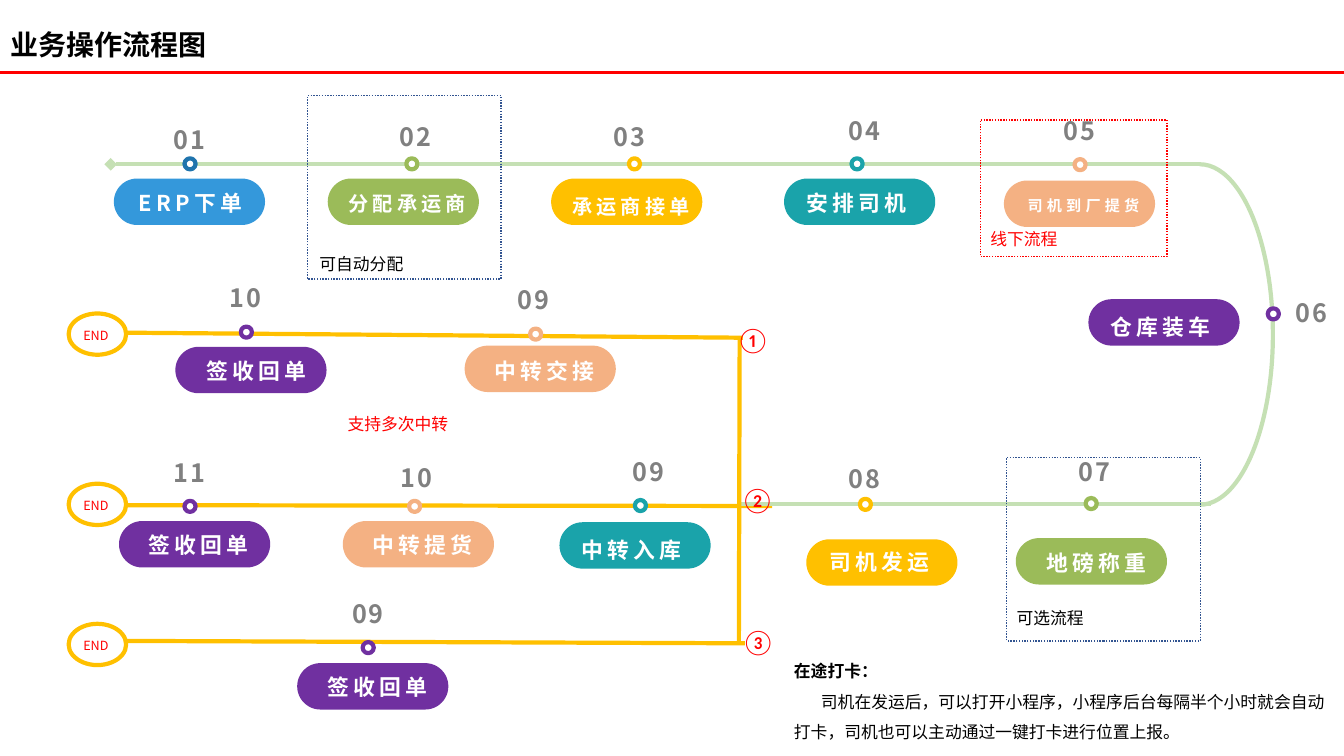
from dataclasses import dataclass

from lxml import etree
from pptx import Presentation
from pptx import util as u
from pptx.dml.color import RGBColor
from pptx.enum import dml, shapes, text
from pptx.oxml import ns

FONT = "Noto Sans CJK SC"
COLORS = {
    "white": "FFFFFF", "black": "000000", "red": "FF0000", "grey": "808080",
    "blue": "3498DB", "deep_blue": "1F74AD", "navy": "325491",
    "green": "9BBB59", "pale_green": "C5E0B4", "yellow": "FFC000",
    "teal": "1AA3AA", "peach": "F4B183", "purple": "7030A0",
}
Point = tuple[float, float]
Box = tuple[float, float, float, float]


@dataclass
class Style:
    size: float
    color: str = "black"
    bold: bool = False
    tracking: float = 0
    font: str = FONT


@dataclass
class Step:
    number: str
    label: str
    color: str
    dot: Point
    pill: Point
    label_at: Point
    number_at: Point
    size: float = 15.6
    spacing: float = 1.1
    ring: str = ""


@dataclass
class Track:
    start: Point
    end: Point
    color: str
    width: float = 3
    diamond: bool = False


@dataclass
class Frame:
    box: Box
    color: str


@dataclass
class Remark:
    words: str
    box: Box
    style: Style
    wrap: bool = True


STEPS = [
    # Ordering and pickup
    Step("01", "ERP下单", "blue", (4.65, 3.99), (2.87, 4.5), (3, 4.55), (3.96, 3), ring="deep_blue"),
    Step("02", "分配承运商", "green", (10.24, 3.99), (8.26, 4.5), (8.46, 4.55), (9.65, 2.92), 14.4, 1.2),
    Step("03", "承运商接单", "yellow", (15.85, 3.99), (13.89, 4.5), (14.1, 4.62), (15.06, 2.92), 14.4, 1.2),
    Step("04", "安排司机", "teal", (21.46, 3.99), (19.76, 4.5), (19.79, 4.55), (20.96, 2.79)),
    Step("05", "司机到厂提货", "peach", (27.08, 4.01), (25.3, 4.55), (25.5, 4.6), (26.39, 2.79), 10.8, 1.2),
    # Loading and departure
    Step("06", "仓库装车", "purple", (31.95, 7.77), (27.43, 7.54), (27.43, 7.67), (32.23, 7.37)),
    Step("07", "地磅称重", "green", (27.36, 12.55), (25.6, 13.56), (25.83, 13.59), (26.77, 11.38), spacing=1.2),
    Step("08", "司机发运", "yellow", (21.67, 12.57), (20.32, 13.59), (20.37, 13.56), (20.96, 11.56), spacing=1.2),
    # Branch 1
    Step("09", "中转交接", "peach", (13.36, 8.28), (11.71, 8.71), (11.91, 8.79), (12.62, 7.04)),
    Step("10", "签收回单", "purple", (6.07, 8.23), (4.42, 8.74), (4.65, 8.79), (5.38, 6.99)),
    # Branch 2
    Step("09", "中转入库", "teal", (16, 12.6), (14.1, 13.16), (14.1, 13.26), (15.52, 11.38), spacing=1.2),
    Step("10", "中转提货", "peach", (10.31, 12.62), (8.64, 13.13), (8.84, 13.18), (9.68, 11.53)),
    Step("11", "签收回单", "purple", (4.65, 12.62), (3, 13.13), (3.2, 13.18), (3.96, 11.4)),
    # Branch 3
    Step("09", "签收回单", "purple", (9.14, 16.18), (7.49, 16.71), (7.7, 16.76), (8.46, 14.96)),
]
MAIN_TRACKS = [
    Track((0, 1.83), (33.87, 1.83), "red", 2.25),
    Track((3.18, 12.73), (19.46, 12.75), "yellow"),
    Track((18.67, 12.7), (30.51, 12.7), "pale_green"),
    Track((2.79, 4.14), (30.25, 4.14), "pale_green", diamond=True),
]
BRANCH_TRACKS = [
    Track((2.79, 8.38), (18.72, 8.51), "yellow"),
    Track((18.64, 8.48), (18.62, 16.23), "yellow"),
    Track((2.92, 16.15), (18.77, 16.21), "yellow"),
]
END_TOPS = [7.9, 12.19, 15.72]
FRAMES = [
    Frame((7.75, 2.41, 4.88, 4.62), "navy"),
    Frame((24.71, 3.02, 4.7, 3.45), "red"),
    Frame((25.37, 11.53, 4.88, 4.62), "navy"),
]
BRANCH_MARK = Style(18, "red", font="Calibri")
REMARKS = [
    Remark("可自动分配", (7.8, 6.27, 2.74, 0.76), Style(12)),
    Remark("线下流程", (24.71, 5.64, 2.51, 0.76), Style(12, "red")),
    Remark("可选流程", (25.37, 15.19, 2.51, 0.76), Style(12)),
    Remark("支持多次中转", (8.51, 10.29, 3.2, 0.84), Style(12, "red")),
    Remark("①", (18.31, 8.05, 1.14, 1.02), BRANCH_MARK, False),
    Remark("②", (18.42, 12.09, 1.14, 1.02), BRANCH_MARK, False),
    Remark("③", (18.44, 15.65, 1.14, 1.02), BRANCH_MARK, False),
]


def rgb(name: str) -> RGBColor:
    return RGBColor.from_string(COLORS[name])


def cm(*values: float) -> list[u.Cm]:
    return [u.Cm(value) for value in values]


def add_run(paragraph, words: str, style: Style) -> None:
    run = paragraph.add_run()
    run.text = words
    run.font.size = u.Pt(style.size)
    run.font.bold = style.bold
    run.font.color.rgb = rgb(style.color)
    run.font.name = style.font
    properties = run.font._element
    etree.SubElement(properties, ns.qn("a:ea")).set("typeface", style.font)
    if style.tracking:
        properties.set("spc", str(round(style.tracking * 100)))


def add_words(slide, words: str, box: Box, style: Style, wrap: bool = True):
    frame = slide.shapes.add_textbox(*cm(*box)).text_frame
    frame.word_wrap = wrap
    add_run(frame.paragraphs[0], words, style)
    return frame


def add_outline(slide, kind, box: Box, fill: str = "", line: str = "", width: float = 3):
    outline = slide.shapes.add_shape(kind, *cm(*box))
    outline.shadow.inherit = False
    if fill:
        outline.fill.solid()
        outline.fill.fore_color.rgb = rgb(fill)
    else:
        outline.fill.background()
    if line:
        outline.line.color.rgb = rgb(line)
        outline.line.width = u.Pt(width)
    else:
        outline.line.fill.background()
    return outline


def add_track(slide, track: Track) -> None:
    line = slide.shapes.add_connector(shapes.MSO_CONNECTOR.STRAIGHT, *cm(*track.start, *track.end))
    line.line.color.rgb = rgb(track.color)
    line.line.width = u.Pt(track.width)
    if track.diamond:
        etree.SubElement(line.line._get_or_add_ln(), ns.qn("a:headEnd")).set("type", "diamond")
    etree.SubElement(line._element.spPr, ns.qn("a:effectLst"))


def add_step(slide, step: Step) -> None:
    add_outline(slide, shapes.MSO_SHAPE.OVAL, (*step.dot, 0.28, 0.28), "white", step.ring or step.color)
    pill = add_outline(slide, shapes.MSO_SHAPE.ROUNDED_RECTANGLE, (*step.pill, 3.81, 1.17), step.color)
    pill.adjustments[0] = 0.5
    label = add_words(slide, step.label, (*step.label_at, 3.61, 1.04), Style(step.size, "white", True, 3))
    label.vertical_anchor = text.MSO_ANCHOR.MIDDLE
    label.paragraphs[0].line_spacing = step.spacing
    number = add_words(slide, step.number, (*step.number_at, 1.63, 1.02), Style(18, "grey", True, 1.5))
    for frame in (label, number):
        frame.paragraphs[0].alignment = text.PP_ALIGN.CENTER


def add_title(slide, words: str) -> None:
    title = slide.shapes.title
    title.left, title.top, title.width, title.height = cm(0, 0.56, 16.94, 1.12)
    frame = title.text_frame
    frame.auto_size = text.MSO_AUTO_SIZE.NONE
    frame.vertical_anchor = text.MSO_ANCHOR.TOP
    frame.paragraphs[0].alignment = text.PP_ALIGN.LEFT
    add_run(frame.paragraphs[0], words, Style(20, bold=True))


def main() -> None:
    deck = Presentation()
    deck.slide_width, deck.slide_height = cm(33.87, 19.05)
    slide = deck.slides.add_slide(deck.slide_layouts[5])
    add_title(slide, "业务操作流程图")

    # Main route with its bend
    bend = add_outline(slide, shapes.MSO_SHAPE.ARC, (28.4, 4.14, 3.68, 8.58), "white", "pale_green")
    bend.adjustments[0], bend.adjustments[1] = 162, 53.99
    for track in MAIN_TRACKS + BRANCH_TRACKS:
        add_track(slide, track)

    # Ends of the branches
    for top in END_TOPS:
        add_outline(slide, shapes.MSO_SHAPE.OVAL, (1.73, top, 1.45, 1.04), "white", "yellow")
        add_words(slide, "END", (1.85, top + 0.23, 1.35, 0.64), Style(9, "red"))

    # Steps, dotted frames and remarks
    for step in STEPS:
        add_step(slide, step)
    for frame in FRAMES:
        dotted = add_outline(slide, shapes.MSO_SHAPE.RECTANGLE, frame.box, line=frame.color, width=1)
        dotted.line.dash_style = dml.MSO_LINE.ROUND_DOT
    for remark in REMARKS:
        add_words(slide, remark.words, remark.box, remark.style, remark.wrap)

    # Check-in note
    note = add_words(slide, "在途打卡：", (19.76, 16.28, 14.1, 2.57), Style(12, bold=True))
    detail = note.add_paragraph()
    detail._p.get_or_add_pPr().set("indent", str(u.Cm(0.68)))
    add_run(detail, "司机在发运后，可以打开小程序，小程序后台每隔半个小时就会自动打卡，"
                    "司机也可以主动通过一键打卡进行位置上报。", Style(12))
    for paragraph in note.paragraphs:
        paragraph.line_spacing = 1.5

    deck.save("out.pptx")


if __name__ == "__main__":
    main()
